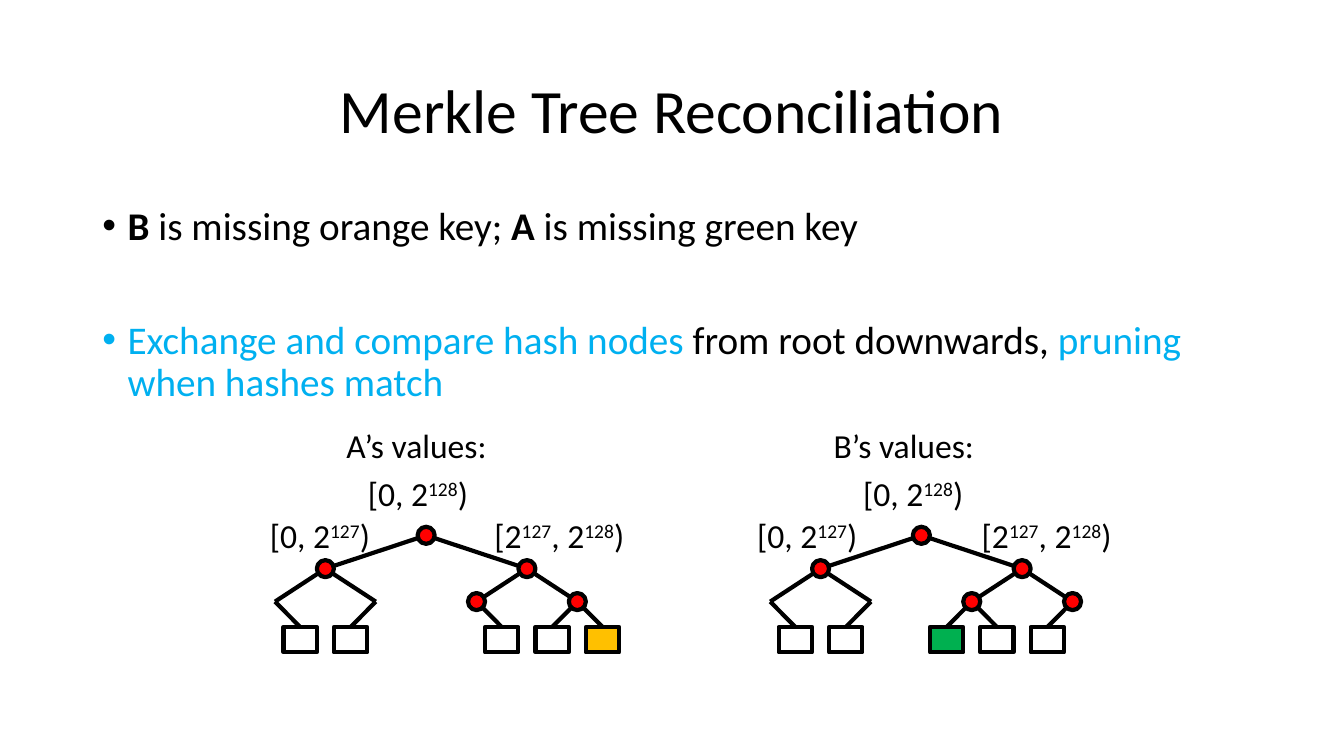
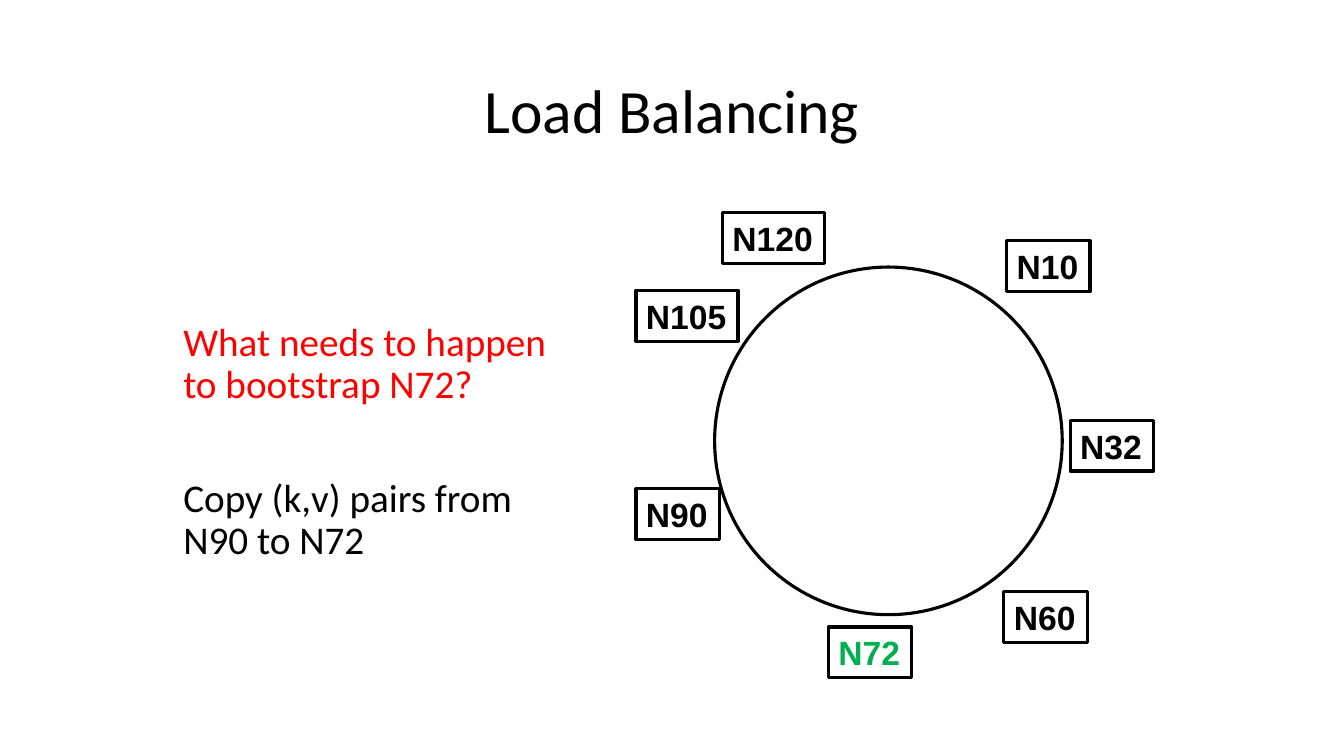
"""Build two slides on Merkle tree reconciliation and load balancing."""
from dataclasses import dataclass
from typing import NamedTuple, Optional

from lxml.etree import SubElement
from pptx import Presentation
from pptx.dml.color import RGBColor as Rgb
from pptx.enum.shapes import MSO_CONNECTOR as Conn, MSO_SHAPE as Geo
from pptx.enum.text import MSO_ANCHOR as Anchor, PP_ALIGN as Align
from pptx.oxml.ns import qn
from pptx.util import Cm, Pt


@dataclass(frozen=True)
class Theme:
    ink: str = "000000"
    red: str = "FF0000"
    green: str = "00B050"
    orange: str = "FFC000"
    blue: str = "00B0F0"
    body_font: str = "Calibri"
    node_font: str = "Arial"
    title: int = 44
    body: int = 28
    label: int = 24
    tree_line: float = 3
    ring_line: float = 2.25
    leading: float = 0.9
    gap: int = 51


T = Theme()


class Run(NamedTuple):
    text: str
    color: str = T.ink
    bold: bool = False
    raised: bool = False


class Box(NamedTuple):
    x: float
    y: float
    w: float
    h: float

    def emu(self) -> tuple:
        return tuple(Cm(v) for v in self)


@dataclass(frozen=True)
class Tree:
    caption: str
    root_x: float
    nudge: float
    leaves: tuple[int, ...]
    marked: int
    mark_color: str


class RingNode(NamedTuple):
    name: str
    x: float
    y: float
    color: str = T.ink


STEP = 0.635
ROOT_Y, CHILD_Y, TWIG_Y, LEAF_Y = 13.49, 14.33, 15.16, 15.8
CHILDREN = (-4, 4)
TWIGS = (-6, -2, 2, 6)
DOTS = ((0, ROOT_Y), (-4, CHILD_Y), (4, CHILD_Y), (2, TWIG_Y), (6, TWIG_Y))
LEAF_W, LEAF_H, DOT = 0.84, 0.64, 0.43

TREES = (
    Tree("A’s values:", 10.74, 0, (-5, -3, 3, 5, 7), 7, T.orange),
    Tree("B’s values:", 23.22, -0.2, (-5, -3, 1, 3, 5), 1, T.green),
)
RING = Box(18.01, 6.73, 8.76, 8.76)
RING_NODES = (
    RingNode("N10", 25.37, 6.07),
    RingNode("N32", 26.97, 10.59),
    RingNode("N60", 25.3, 14.91),
    RingNode("N72", 20.88, 15.8, T.green),
    RingNode("N90", 16.03, 12.32),
    RingNode("N105", 16.03, 7.32),
    RingNode("N120", 18.21, 5.36),
)


def add_runs(p, runs, size: int, font: str = T.body_font) -> None:
    for run in runs:
        r = p.add_run()
        r.text = run.text
        r.font.name, r.font.size, r.font.bold = font, Pt(size), run.bold
        r.font.color.rgb = Rgb.from_string(run.color)
        if run.raised:
            r._r.get_or_add_rPr().set("baseline", "30000")


def add_text(s, box: Box, paragraphs, size: int, leading: float = 1, bullets: bool = False,
             align=Align.LEFT, anchor=Anchor.TOP) -> None:
    tf = s.shapes.add_textbox(*box.emu()).text_frame
    tf.word_wrap, tf.vertical_anchor = True, anchor
    for i, runs in enumerate(paragraphs):
        p = tf.add_paragraph() if i else tf.paragraphs[0]
        p.alignment, p.line_spacing = align, leading
        if i:
            p.space_before = Pt(T.gap)
        if bullets:
            pPr = p._p.get_or_add_pPr()
            pPr.set("marL", str(Cm(STEP)))
            pPr.set("indent", str(-Cm(STEP)))
            SubElement(pPr, qn("a:buFont")).set("typeface", "Arial")
            SubElement(pPr, qn("a:buChar")).set("char", "•")
        add_runs(p, runs, size)


def add_shape(s, geo, box: Box, width: float, fill: Optional[str] = None):
    sp = s.shapes.add_shape(geo, *box.emu())
    sp.shadow.inherit = False
    sp.line.color.rgb, sp.line.width = Rgb.from_string(T.ink), Pt(width)
    if fill:
        sp.fill.solid()
        sp.fill.fore_color.rgb = Rgb.from_string(fill)
    else:
        sp.fill.background()
    return sp


def add_line(s, x1: float, y1: float, x2: float, y2: float):
    c = s.shapes.add_connector(Conn.STRAIGHT, Cm(x1), Cm(y1), Cm(x2), Cm(y2))
    c.line.color.rgb, c.line.width = Rgb.from_string(T.ink), Pt(T.tree_line)
    SubElement(c._element.spPr, qn("a:effectLst"))
    return c


def add_slide(prs, title: str):
    s = prs.slides.add_slide(prs.slide_layouts[6])
    add_text(s, Box(2.33, 1.01, 29.21, 3.68), [[Run(title)]], T.title, T.leading,
             align=Align.CENTER, anchor=Anchor.MIDDLE)
    return s


def power(exponent: str, lead: str) -> list[Run]:
    return [Run(lead + "2"), Run(exponent, raised=True)]


def draw_tree(s, tree: Tree) -> None:
    def at(step: int) -> float:
        return tree.root_x + step * STEP

    for leaf in tree.leaves:
        box = Box(at(leaf) - LEAF_W / 2, LEAF_Y, LEAF_W, LEAF_H)
        sp = add_shape(s, Geo.RECTANGLE, box, T.tree_line,
                       tree.mark_color if leaf == tree.marked else None)
        twig = min(TWIGS, key=lambda t: abs(t - leaf))
        add_line(s, at(leaf), LEAF_Y, at(twig), TWIG_Y).begin_connect(sp, 0)
    for child in CHILDREN:
        add_line(s, at(child), CHILD_Y, at(0), ROOT_Y)
        for side in (-2, 2):
            add_line(s, at(child), CHILD_Y, at(child + side), TWIG_Y)
    for step, y in DOTS:
        add_shape(s, Geo.OVAL, Box(at(step) - DOT / 2, y - DOT / 2, DOT, DOT),
                  T.tree_line, T.red)

    end = [Run(")")]
    side_x = tree.root_x + tree.nudge
    labels = (
        (side_x - 2.26, 10.59, 5, [Run(tree.caption)]),
        (tree.root_x - 1.72, 11.79, 3.4, power("128", "[0, ") + end),
        (side_x - 4.19, 12.85, 3.4, power("127", "[0, ") + end),
        (side_x + 1.47, 12.85, 4.5, power("127", "[") + power("128", ", ") + end),
    )
    for x, y, w, runs in labels:
        add_text(s, Box(x, y, w, 1.27), [runs], T.label)


def draw_ring_node(s, node: RingNode) -> None:
    width = 2.1 if len(node.name) == 3 else 2.57
    sp = add_shape(s, Geo.RECTANGLE, Box(node.x, node.y, width, 1.28), T.ring_line)
    tf = sp.text_frame
    tf.word_wrap, tf.vertical_anchor = False, Anchor.MIDDLE
    p = tf.paragraphs[0]
    p.alignment = Align.LEFT
    add_runs(p, [Run(node.name, node.color, bold=True)], T.label, T.node_font)


def merkle_slide(prs) -> None:
    s = add_slide(prs, "Merkle Tree Reconciliation")
    add_text(s, Box(2.33, 5.08, 29.21, 5.5), [
        [Run("B", bold=True), Run(" is missing orange key; "),
         Run("A", bold=True), Run(" is missing green key")],
        [Run("Exchange and compare hash nodes ", T.blue),
         Run("from root downwards, "), Run("pruning when hashes match", T.blue)],
    ], T.body, T.leading, bullets=True)
    for tree in TREES:
        draw_tree(s, tree)


def balancing_slide(prs) -> None:
    s = add_slide(prs, "Load Balancing")
    add_text(s, Box(4.37, 8, 10.49, 9.4), [
        [Run("What needs to happen to bootstrap N72?", T.red)],
        [Run("Copy (k,v) pairs from N90 to N72")],
    ], T.body, T.leading)
    add_shape(s, Geo.OVAL, RING, T.ring_line)
    for node in RING_NODES:
        draw_ring_node(s, node)


def main() -> None:
    prs = Presentation()
    prs.slide_width, prs.slide_height = Cm(33.87), Cm(19.05)
    merkle_slide(prs)
    balancing_slide(prs)
    prs.save("out.pptx")


if __name__ == "__main__":
    main()
